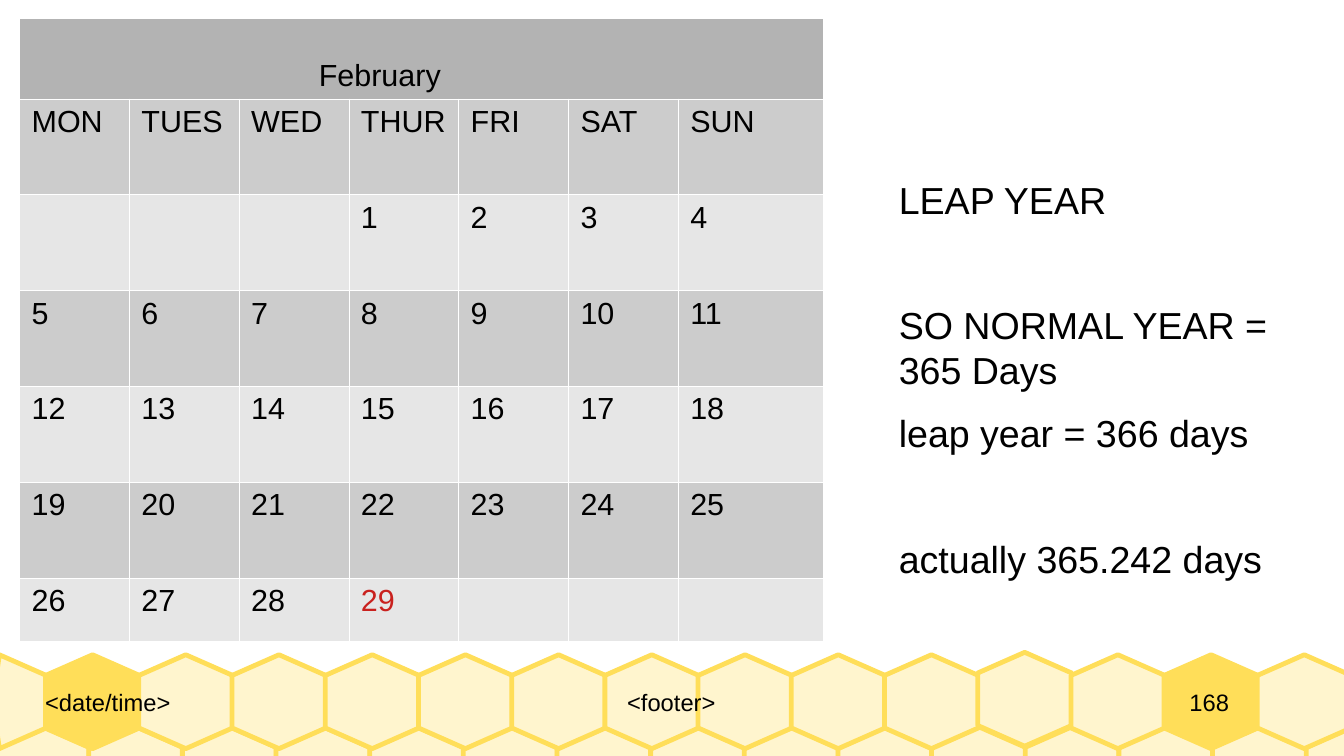
from pptx import Presentation
from pptx.dml.color import RGBColor as RGB
from pptx.enum.text import MSO_ANCHOR as Anchor, PP_ALIGN as Align
from pptx.oxml import parse_xml
from pptx.oxml.ns import nsdecls
from pptx.util import Inches as In, Pt

BLACK = RGB(0, 0, 0)
RED = RGB(0xC9, 0x21, 0x1E)
HEAD = RGB(0xB3, 0xB3, 0xB3)
DARK = RGB(0xCC, 0xCC, 0xCC)
LIGHT = RGB(0xE6, 0xE6, 0xE6)
GOLD = RGB(0xFF, 0xDE, 0x59)
CREAM = RGB(0xFF, 0xF5, 0xCE)

MONTH = "February"
DAYS = ["MON", "TUES", "WED", "THUR", "FRI", "SAT", "SUN"]
FIRST, LAST = 3, 29
NOTES = [
    ("LEAP YEAR", 0),
    ("SO NORMAL YEAR = 365 Days", 1),
    ("leap year = 366 days", 0),
    ("actually 365.242 days", 1),
]
FOOT = [
    ("<date/time>", 0.37, 2.63, Align.LEFT),
    ("<footer>", 3, 5.01, Align.CENTER),
    ("168", 9.29, 1.25, Align.CENTER),
]

WIDE, HIGH = 11.02, 6.2
TALL, TOP, END = 5.11, 0.66, 0.52
COLS = [0.9] * 6 + [1.19]
ROWS = [TOP] + [(TALL - TOP - END) / 5] * 5 + [END]
HEX = 0.77
COMBS = [(-0.04, 10.71, 5.96, ()), (-0.39, 10.31, 5.37, (1, 13))]
COUNT, RAISED = 15, 11
LINE, GAP = 26.5, 10.6


def style(font, size, color=BLACK):
    look = {"name": "Arial", "size": Pt(size), "bold": False}
    for key, value in look.items():
        setattr(font, key, value)
    font.color.rgb = color


def add_box(left, top, width, height, anchor):
    box = slide.shapes.add_textbox(In(left), In(top), In(width), In(height))
    frame = box.text_frame
    form = {"word_wrap": True, "vertical_anchor": anchor, "margin_left": 0,
            "margin_right": 0, "margin_top": 0, "margin_bottom": 0}
    for key, value in form.items():
        setattr(frame, key, value)
    return frame


def trim(x, y):
    return In(min(max(x, -0.03), WIDE + 0.08)), In(min(y, HIGH + 0.03))


def add_hex(left, top, fill):
    mid, right = left + HEX / 2, left + HEX
    upper, lower = top + 0.17, top + 0.6
    dots = [(mid, top), (left, upper), (left, lower), (mid, top + HEX),
            (right, lower), (right, upper)]
    dots = [trim(x, y) for x, y in dots]
    outline = slide.shapes.build_freeform(*dots[0])
    outline.add_line_segments(dots[1:], close=True)
    comb = outline.convert_to_shape()
    comb.shadow.inherit = False
    comb.fill.solid()
    comb.fill.fore_color.rgb = fill
    comb.line.color.rgb = GOLD
    comb.line.width = Pt(2.83)


def fill_cell(cell, text, fill, color=BLACK):
    for side in "LRTB":
        cell._tc.get_or_add_tcPr().append(parse_xml(
            f'<a:ln{side} {nsdecls("a")} w="762"><a:solidFill>'
            f'<a:srgbClr val="FFFFFF"/></a:solidFill></a:ln{side}>'))
    cell.fill.solid()
    cell.fill.fore_color.rgb = fill
    cell.margin_left, cell.margin_right = In(0.1), In(0.05)
    cell.text = text
    style(cell.text_frame.paragraphs[0].font, 18, color)


deck = Presentation()
deck.slide_width, deck.slide_height = In(WIDE), In(HIGH)
slide = deck.slides.add_slide(deck.slide_layouts[6])

for start, stop, top, solid in COMBS:
    step = (stop - start) / (COUNT - 1)
    for i in range(COUNT):
        lift = 0.02 if solid and i == RAISED else 0
        add_hex(start + i * step, top - lift, GOLD if i in solid else CREAM)

for text, left, width, side in FOOT:
    para = add_box(left, 5.37, width, HEX, Anchor.MIDDLE).paragraphs[0]
    para.text, para.alignment = text, side
    style(para.font, 14)

body = add_box(7.37, 1.45, 3.1, 3.6, Anchor.TOP)
for i, (text, skip) in enumerate(NOTES):
    para = body.add_paragraph() if i else body.paragraphs[0]
    para.text = text
    para.line_spacing, para.space_after = Pt(LINE), Pt(GAP)
    if skip:
        para.space_before = Pt(LINE + GAP)
    style(para.font, 22.2)

table = slide.shapes.add_table(len(ROWS), len(COLS), In(0.16), In(0.15),
                               In(sum(COLS)), In(TALL)).table
table.first_row = table.horz_banding = False
for col, width in zip(table.columns, COLS):
    col.width = In(width)
for row, height in zip(table.rows, ROWS):
    row.height = In(height)

title = table.cell(0, 0)
title.merge(table.cell(0, len(COLS) - 1))
fill_cell(title, MONTH, HEAD)
title.margin_left, title.margin_right = 0, In(0.68)
title.vertical_anchor = Anchor.BOTTOM
title.text_frame.paragraphs[0].alignment = Align.CENTER

for c, day in enumerate(DAYS):
    fill_cell(table.cell(1, c), day, DARK)
    for r in range(2, len(ROWS)):
        date = (r - 2) * len(DAYS) + c - FIRST + 1
        text = str(date) if 1 <= date <= LAST else ""
        fill_cell(table.cell(r, c), text, DARK if r % 2 else LIGHT,
                  RED if date == LAST else BLACK)

deck.save("out.pptx")
